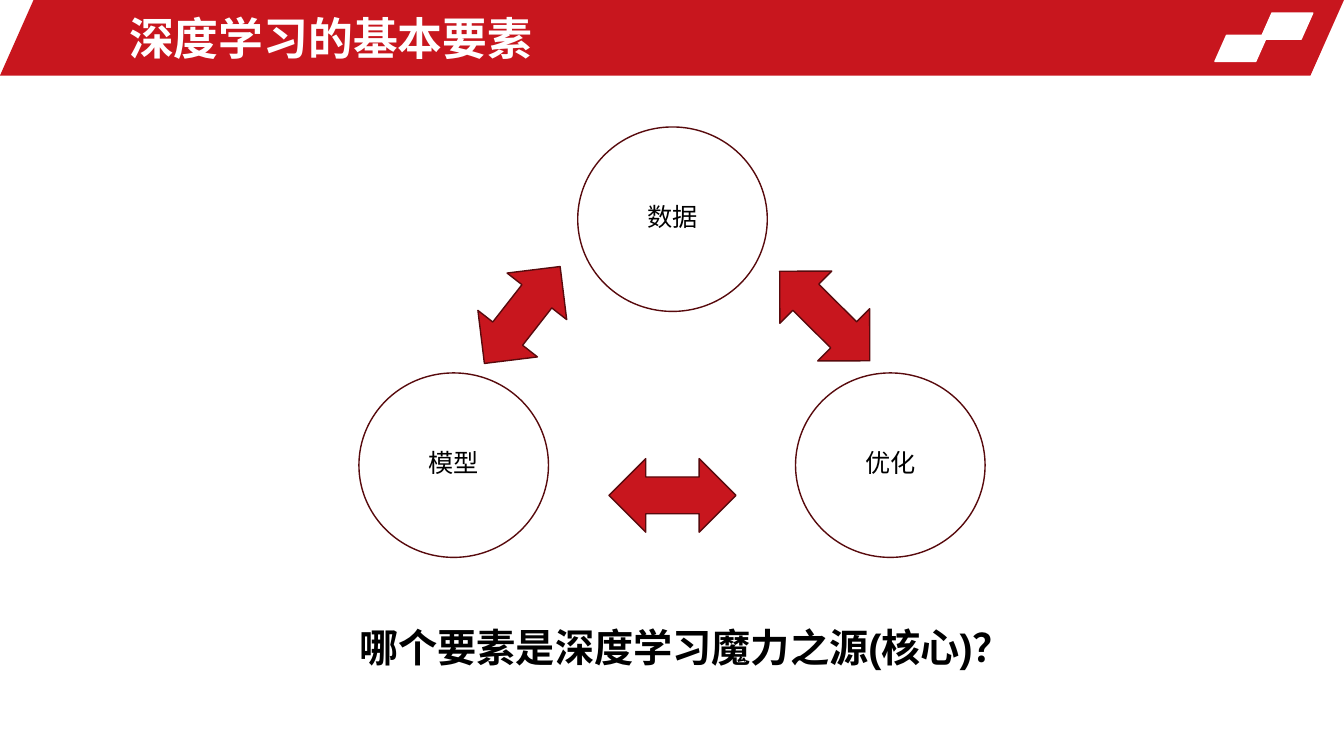
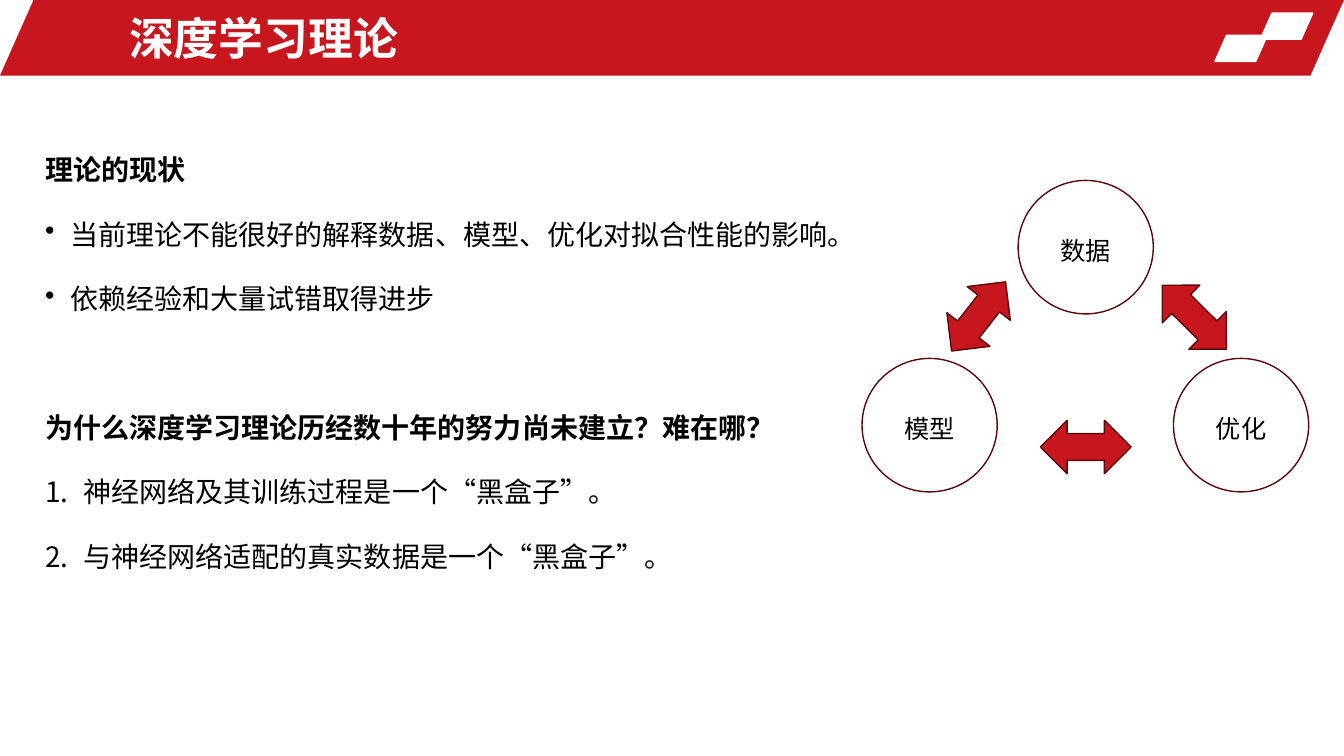
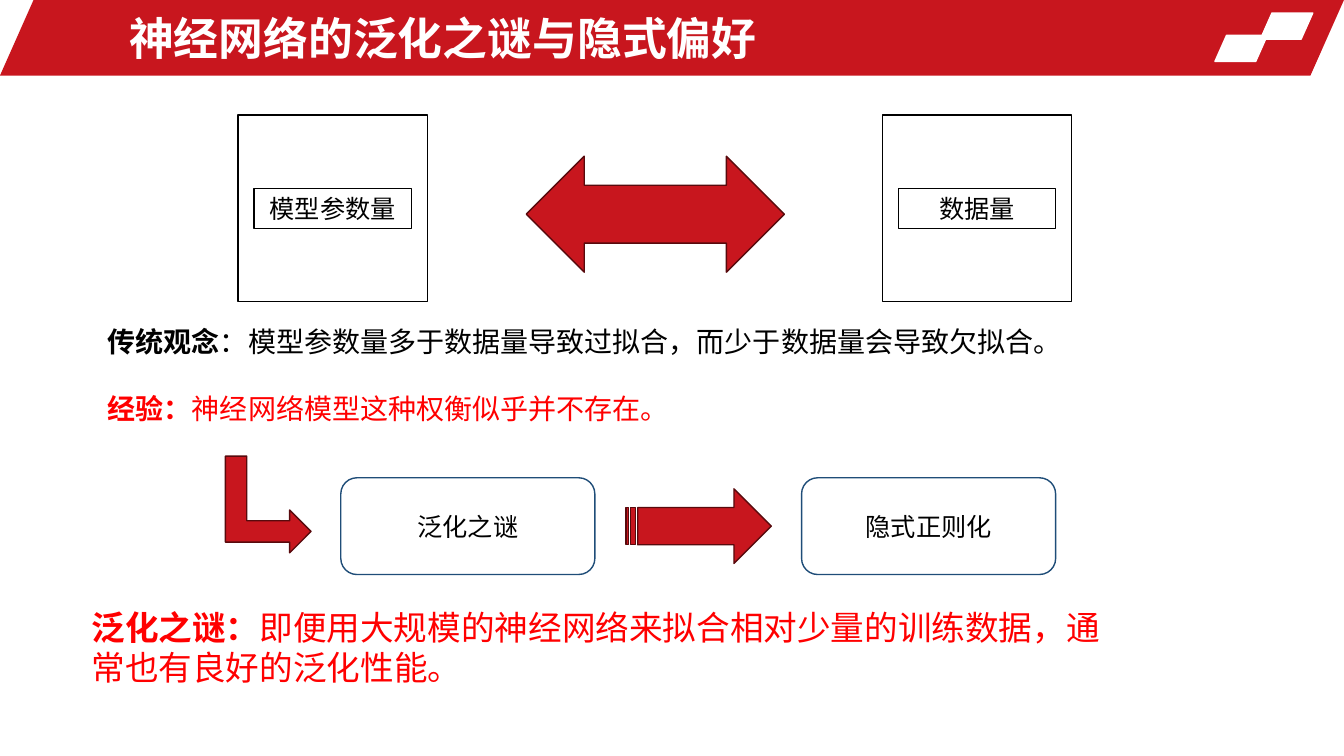
from pptx import Presentation
from pptx.dml.color import RGBColor
from pptx.enum import lang, shapes, text
from pptx.oxml import parse_xml
from pptx.oxml.ns import nsdecls
from pptx.util import Inches, Pt

RED, DARK_RED, BLUE = "C8161E", "580A0D", "1F4D78"
WHITE, BLACK, ALERT = "FFFFFF", "000000", "FF0000"
KIND = shapes.MSO_SHAPE
LEFT, CENTER = text.PP_ALIGN.LEFT, text.PP_ALIGN.CENTER
TOP, MIDDLE = text.MSO_ANCHOR.TOP, text.MSO_ANCHOR.MIDDLE

# left, top, width, height, fill, line
BANDS = [
    (0, 0, 13.33, 0.75, RED, None),
    (12.5, 0.13, 0.52, 0.26, WHITE, WHITE),
    (12.05, 0.35, 0.52, 0.26, WHITE, WHITE),
]

# Trio of elements, laid out in a frame of this size and scaled to fit others
TRIO_SIZE = (6.21, 4.27)
CIRCLE = (1.88, 1.83)
LABEL = (1.01, 0.45)
LABEL_DROP = 0.69
TRIO = [("数据", 2.17, 0), ("模型", 0, 2.44), ("优化", 4.33, 2.44)]
TRIO_ARROWS = [  # left, top, width, height, rotation
    (1.01, 1.49, 1.22, 0.75, 308),
    (3.99, 1.51, 1.26, 0.73, 224.8),
    (2.48, 3.29, 1.26, 0.73, 0),
]

QUESTION = "哪个要素是深度学习魔力之源(核心)？"

BULLET, NUMBER = '<a:buChar %s char="•"/>', '<a:buAutoNum %s type="arabicPeriod"/>'
THEORY = [  # text, bold, mark, indent, space before in points
    ("理论的现状", True, None, 0, 0),
    ("当前理论不能很好的解释数据、模型、优化对拟合性能的影响。", False, BULLET, 0.25, 10),
    ("依赖经验和大量试错取得进步", False, BULLET, 0.25, 10),
    ("为什么深度学习理论历经数十年的努力尚未建立？难在哪？", True, None, 0, 56),
    ("神经网络及其训练过程是一个“黑盒子”。", False, NUMBER, 0.38, 10),
    ("与神经网络适配的真实数据是一个“黑盒子”。", False, NUMBER, 0.38, 10),
]

QUANTITIES = [("模型参数量", 2.36), ("数据量", 8.75)]
CONCEPTS = [("泛化之谜", 3.38), ("隐式正则化", 7.95)]
VIEWS = [  # bold lead, rest, colour
    ("传统观念", "：模型参数量多于数据量导致过拟合，而少于数据量会导致欠拟合。", BLACK),
    ("经验：", "神经网络模型这种权衡似乎并不存在。", ALERT),
]
MYSTERY = [("泛化之谜：", "即便用大规模的神经网络来拟合相对少量的训练数据，通常也有良好的泛化性能。", ALERT)]
MYSTERY_ARROWS = [  # kind, left, top, width, height, rotation
    (KIND.STRIPED_RIGHT_ARROW, 6.21, 4.85, 1.44, 0.74, 0),
    (KIND.LEFT_RIGHT_ARROW, 5.22, 1.55, 2.56, 1.15, 0),
    (KIND.BENT_UP_ARROW, 2.18, 4.58, 0.96, 0.85, 90),
]


def rgb(value):
    return RGBColor.from_string(value)


def style(run, size, color=BLACK, bold=False, face="Arial"):
    font = run.font
    font.name, font.size, font.bold = face, Pt(size), bold
    font.color.rgb = rgb(color)
    font.language_id = lang.MSO_LANGUAGE_ID.SIMPLIFIED_CHINESE


def write(frame, words, size, color=BLACK, bold=False, align=CENTER, anchor=MIDDLE):
    """Fill a frame with one paragraph of one style."""
    frame.text = words
    frame.word_wrap = True
    frame.auto_size = text.MSO_AUTO_SIZE.NONE
    frame.vertical_anchor = anchor
    paragraph = frame.paragraphs[0]
    paragraph.alignment = align
    style(paragraph.runs[0], size, color, bold)


def add_frame(parent, *box):
    frame = parent.add_textbox(*map(Inches, box)).text_frame
    frame.word_wrap = True
    return frame


def add_shape(parent, kind, box, fill=None, line=None, rotation=0):
    shape = parent.add_shape(kind, *map(Inches, box))
    shape.shadow.inherit = False
    shape.rotation = rotation
    if fill:
        shape.fill.solid()
        shape.fill.fore_color.rgb = rgb(fill)
    else:
        shape.fill.background()
    if line:
        shape.line.color.rgb = rgb(line)
        shape.line.width = Pt(1)
    else:
        shape.line.fill.background()
    return shape


def add_bands(layout, slide):
    """Draw the bands on a slide, then hand them over to its layout."""
    for place, (*box, fill, line) in enumerate(BANDS, 2):
        band = add_shape(slide.shapes, KIND.PARALLELOGRAM, box, fill, line)
        band.adjustments[0] = 0.444
        layout.shapes._spTree.insert(place, band._element)


def add_slide(deck, title):
    slide = deck.slides.add_slide(deck.slide_layouts[5])
    head = slide.shapes.title
    head.left, head.top, head.width, head.height = map(Inches, (1.18, 0.05, 7.74, 0.65))
    write(head.text_frame, title, 32, WHITE, True, LEFT)
    return slide


def add_trio(slide, left, top, width, height):
    across, down = width / TRIO_SIZE[0], height / TRIO_SIZE[1]

    def fit(x, y, w, h):
        return left + x * across, top + y * down, w * across, h * down

    group = slide.shapes.add_group_shape().shapes
    for name, x, y in TRIO:
        add_shape(group, KIND.OVAL, fit(x, y, *CIRCLE), line=DARK_RED)
        label_x = x + (CIRCLE[0] - LABEL[0]) / 2
        label = add_frame(group, *fit(label_x, y + LABEL_DROP, *LABEL))
        write(label, name, 18, anchor=TOP)
    for *box, rotation in TRIO_ARROWS:
        add_shape(group, KIND.LEFT_RIGHT_ARROW, fit(*box), RED, DARK_RED, rotation)


def add_theory(slide):
    frame = add_frame(slide.shapes, 0.35, 1.3, 8.3, 4.6)
    frame.text = "\n".join(row[0] for row in THEORY)
    for paragraph, (_, bold, mark, indent, before) in zip(frame.paragraphs, THEORY):
        if mark:
            props = paragraph._p.get_or_add_pPr()
            props.set("marL", str(Inches(indent)))
            props.set("indent", str(-Inches(indent)))
            props.append(parse_xml(mark % nsdecls("a")))
        paragraph.line_spacing = 1.5
        paragraph.space_before = Pt(before)
        style(paragraph.runs[0], 20, bold=bold)


def add_statements(slide, box, statements, size, face="Arial"):
    """Write paragraphs that each open with a bold lead."""
    frame = add_frame(slide.shapes, *box)
    for place, (lead, rest, color) in enumerate(statements):
        paragraph = frame.add_paragraph() if place else frame.paragraphs[0]
        if place:
            paragraph.space_before = Pt(24)
        for words, bold in ((lead, True), (rest, False)):
            run = paragraph.add_run()
            run.text = words
            style(run, size, color, bold, face)


def main():
    deck = Presentation()
    deck.slide_width, deck.slide_height = Inches(13.33), Inches(7.5)

    elements = add_slide(deck, "深度学习的基本要素")
    add_bands(elements.slide_layout, elements)
    add_trio(elements, 3.56, 1.26, *TRIO_SIZE)
    question = add_frame(elements.shapes, 3.38, 6.13, 6.84, 1.03)
    write(question, QUESTION, 28, bold=True, anchor=TOP)

    theory = add_slide(deck, "深度学习理论")
    add_theory(theory)
    add_trio(theory, 8.55, 1.79, 4.43, 3.09)

    mystery = add_slide(deck, "神经网络的泛化之谜与隐式偏好")
    for name, left in QUANTITIES:
        add_shape(mystery.shapes, KIND.RECTANGLE, (left, 1.14, 1.88, 1.85), WHITE, BLACK)
        tag = add_shape(mystery.shapes, KIND.RECTANGLE, (left + 0.16, 1.87, 1.56, 0.4), WHITE, BLACK)
        write(tag.text_frame, name, 18)
    add_statements(mystery, (0.97, 3.17, 11.31, 1.41), VIEWS, 20)
    for name, left in CONCEPTS:
        concept = add_shape(mystery.shapes, KIND.ROUNDED_RECTANGLE, (left, 4.74, 2.52, 0.96), WHITE, BLUE)
        write(concept.text_frame, name, 18)
    for kind, *box, rotation in MYSTERY_ARROWS:
        add_shape(mystery.shapes, kind, box, RED, DARK_RED, rotation)
    add_statements(mystery, (0.81, 5.97, 10.37, 0.91), MYSTERY, 24, "Roboto")

    deck.save("out.pptx")


if __name__ == "__main__":
    main()
